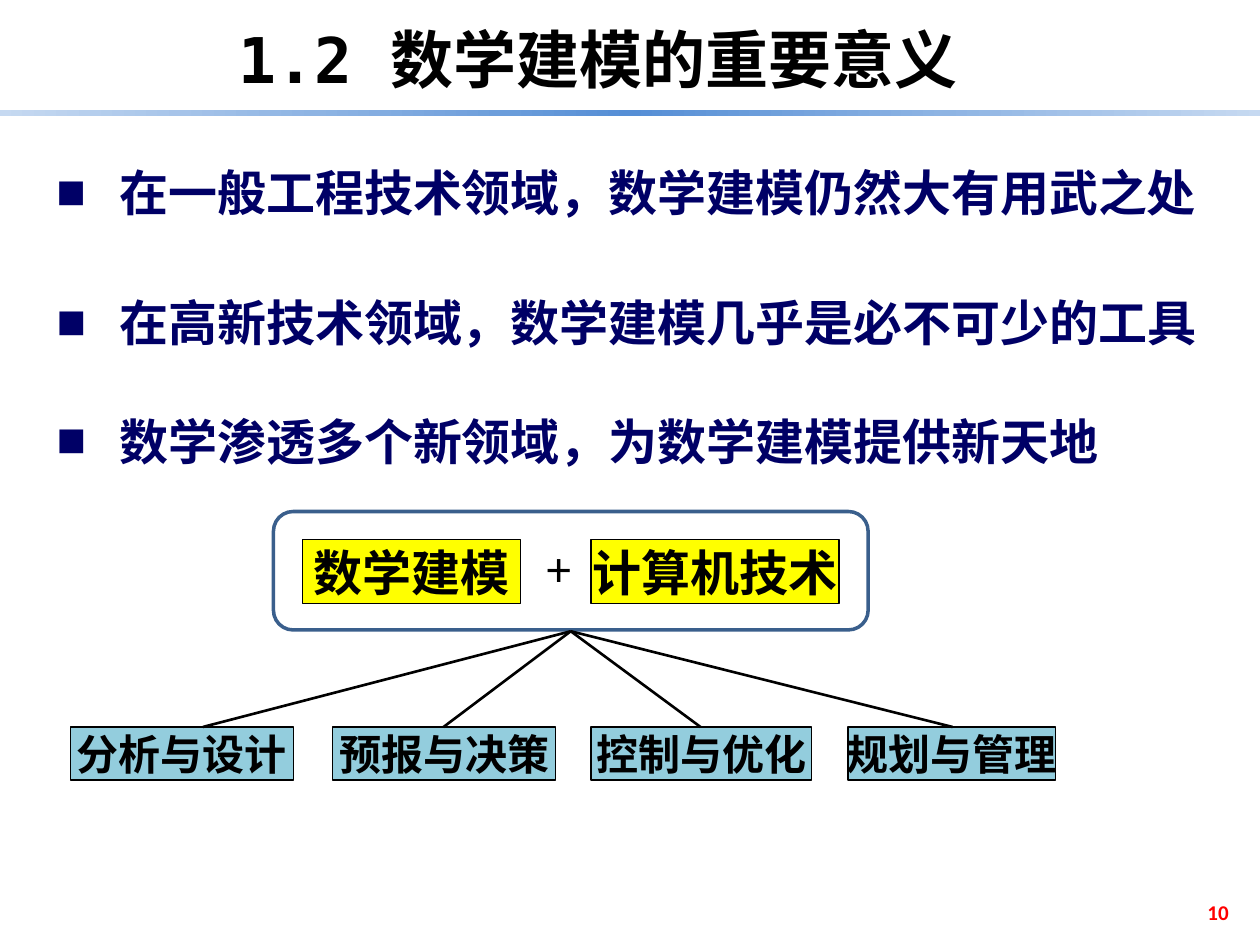
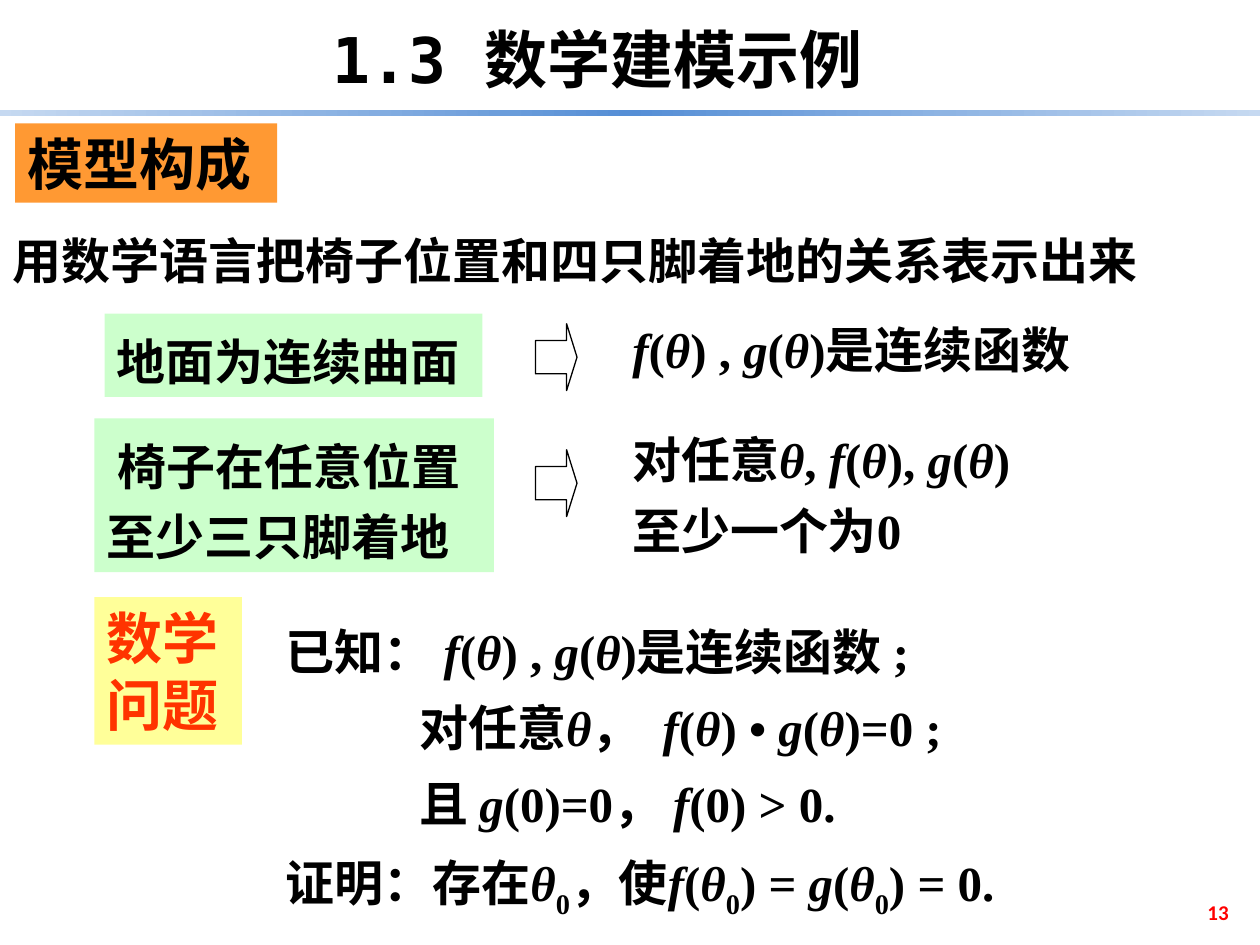
from itertools import groupby

from lxml import etree
from pptx import Presentation
from pptx.dml.color import RGBColor
from pptx.enum import shapes, text
from pptx.oxml import ns
from pptx.util import Inches, Pt

BLACK = RGBColor(0, 0, 0)
RED = RGBColor(0xFF, 0, 0)
NAVY = RGBColor(0, 0, 0x66)
YELLOW = RGBColor(0xFF, 0xFF, 0)
SKY = RGBColor(0x93, 0xCD, 0xDD)
STEEL = RGBColor(0x3A, 0x5F, 0x8C)
ORANGE = RGBColor(0xFF, 0x99, 0x33)
MINT = RGBColor(0xCC, 0xFF, 0xCC)
CREAM = RGBColor(0xFF, 0xFF, 0x99)
FLAME = RGBColor(0xFF, 0x33, 0)
BAND = ["C6D9F1", "8EB4E3", "558ED5", "8EB4E3", "C6D9F1"]

SERIF, MONO, SANS, HAN = "Times New Roman", "DejaVu Sans Mono", "Calibri", "Noto Sans CJK SC"
KIND = shapes.MSO_SHAPE
ALIGN = text.PP_ALIGN
MIDDLE = text.MSO_ANCHOR.MIDDLE


def sub(parent, tag, **attrs):
    return etree.SubElement(parent, ns.qn(tag), **attrs)


def style(run, size, color, font, bold=True):
    face = run.font
    face.size, face.name, face.bold = Pt(size), font, bold
    face.color.rgb = color
    sub(run._r.get_or_add_rPr(), "a:ea", typeface=HAN)


def role(char):
    """Variables are italic; the mark ₀ stands for a lowered zero."""
    return "var" if char in "fgθ" else "low" if char == "₀" else "plain"


def fill_line(para, line, size, color, font, bold=True, maths=False):
    parts = groupby(line, role) if maths else [("plain", line)]
    for kind, chars in parts:
        run = para.add_run()
        run.text = "0" if kind == "low" else "".join(chars)
        style(run, size, color, font, bold)
        if kind == "var":
            run.font.italic = True
        elif kind == "low":
            run.font._element.set("baseline", "-25000")


def write(shape, lines, size=28, color=BLACK, font=SERIF, bold=True, maths=False,
          align=ALIGN.LEFT, anchor=text.MSO_ANCHOR.TOP, gap=None, wrap=True, grow=True):
    frame = shape.text_frame
    frame.word_wrap = wrap
    frame.vertical_anchor = anchor
    if grow:
        frame.auto_size = text.MSO_AUTO_SIZE.SHAPE_TO_FIT_TEXT
    for i, line in enumerate(lines):
        para = frame.add_paragraph() if i else frame.paragraphs[0]
        para.alignment = align
        if gap:
            para.line_spacing = gap
        fill_line(para, line, size, color, font, bold, maths)
    return frame


def box(slide, *spot):
    return slide.shapes.add_textbox(*map(Inches, spot))


def form(slide, kind, spot, fill=None, line=None, width=0.75):
    shape = slide.shapes.add_shape(kind, *map(Inches, spot))
    shape.shadow.inherit = False
    if fill is None:
        shape.fill.background()
    else:
        shape.fill.solid()
        shape.fill.fore_color.rgb = fill
    if line is None:
        shape.line.fill.background()
    else:
        shape.line.color.rgb = line
        shape.line.width = Pt(width)
    return shape


def node(slide, label, spot, fill, size):
    write(form(slide, KIND.RECTANGLE, spot, fill, BLACK), [label], size,
          align=ALIGN.CENTER, anchor=MIDDLE, wrap=False, grow=False)


def link(slide, start, end):
    line = slide.shapes.add_connector(shapes.MSO_CONNECTOR.STRAIGHT, *map(Inches, start + end))
    line.line.color.rgb = BLACK
    line.line.width = Pt(1.5)
    sub(line._element.spPr, "a:effectLst")


def bullet(slide, label, top, width):
    frame = write(box(slide, 0.35, top, width, 0.61), [label], color=NAVY, gap=1.2)
    props = frame.paragraphs[0]._p.get_or_add_pPr()
    props.set("marL", str(Inches(0.5)))
    props.set("indent", str(-Inches(0.5)))
    sub(props, "a:buFont", typeface=SERIF)
    sub(props, "a:buChar", char="■")


def arrow(slide, top):
    shape = form(slide, KIND.RIGHT_ARROW, (4.25, top, 0.33, 0.53), line=BLACK)
    shape.adjustments[0], shape.adjustments[1] = 0.5, 0.25


def band(slide):
    shape = form(slide, KIND.RECTANGLE, (0, 0.87, 10, 0.05))
    shape.fill.gradient()
    shape.fill.gradient_angle = 0
    stops = shape._element.spPr.find(ns.qn("a:gradFill")).find(ns.qn("a:gsLst"))
    for old in list(stops):
        stops.remove(old)
    for i, tint in enumerate(BAND):
        sub(sub(stops, "a:gs", pos=str(i * 25000)), "a:srgbClr", val=tint)


def page(deck, title, number):
    slide = deck.slides.add_slide(deck.slide_layouts[6])
    band(slide)
    write(box(slide, 0.81, 0.11, 7.87, 0.71), [title], 36, font=MONO, align=ALIGN.CENTER)
    write(box(slide, 7.52, 7.04, 2.33, 0.4), [number], 12, RED, SANS,
          align=ALIGN.RIGHT, anchor=MIDDLE, grow=False)
    return slide


def meaning(deck):
    slide = page(deck, "1.2 数学建模的重要意义", "10")
    bullet(slide, "在一般工程技术领域，数学建模仍然大有用武之处", 1.15, 9.5)
    bullet(slide, "在高新技术领域，数学建模几乎是必不可少的工具", 2.18, 9.45)
    bullet(slide, "数学渗透多个新领域，为数学建模提供新天地", 3.12, 8.58)

    node(slide, "数学建模", (2.4, 4.28, 1.73, 0.51), YELLOW, 28)
    node(slide, "计算机技术", (4.69, 4.28, 1.97, 0.51), YELLOW, 28)
    write(box(slide, 4.24, 4.22, 0.4, 0.57), ["+"], font=SANS, bold=False, wrap=False)
    form(slide, KIND.ROUNDED_RECTANGLE, (2.17, 4.06, 4.72, 0.94), line=STEEL, width=2)

    uses = [("分析与设计", 0.56, 1.77, 1.61), ("预报与决策", 2.64, 1.77, 3.52),
            ("控制与优化", 4.69, 1.75, 5.56), ("规划与管理", 6.73, 1.65, 7.56)]
    for label, left, width, tip in uses:
        node(slide, label, (left, 5.77, width, 0.42), SKY, 24)
        link(slide, (4.53, 5.01), (tip, 5.77))


def example(deck):
    slide = page(deck, "1.3 数学建模示例", "13")

    def panel(label, spot, fill, **look):
        write(form(slide, KIND.RECTANGLE, spot, fill), [label], **look)

    panel("模型构成", (0.12, 0.98, 2.08, 0.63), ORANGE, size=32)
    write(box(slide, 0, 1.78, 9.33, 0.57), ["用数学语言把椅子位置和四只脚着地的关系表示出来"])

    panel("地面为连续曲面", (0.83, 2.49, 3, 0.66), MINT, gap=1.2)
    panel(" 椅子在任意位置至少三只脚着地", (0.75, 3.32, 3.17, 1.22), MINT, gap=1.2)
    for top in (2.57, 3.57):
        arrow(slide, top)
    write(box(slide, 4.92, 2.49, 3.75, 0.57), ["f(θ) , g(θ)是连续函数"], maths=True)
    write(box(slide, 4.92, 3.27, 3.5, 1.22), ["对任意θ, f(θ), g(θ)至少一个为0"],
          maths=True, gap=1.2)

    panel("数学问题", (0.75, 4.74, 1.17, 1.17), CREAM, size=32, color=FLAME, font=HAN)
    proof = ["已知： f(θ) , g(θ)是连续函数 ;", "对任意θ，  f(θ) • g(θ)=0 ;",
             "且 g(0)=0， f(0) > 0.", "证明：存在θ₀，使f(θ₀) = g(θ₀) = 0."]
    frame = write(box(slide, 2.17, 4.74, 6.17, 2.53), proof, maths=True, gap=1.3)
    for para in frame.paragraphs[1:3]:
        para._p.get_or_add_pPr().set("marL", str(Inches(1.06)))


def main():
    deck = Presentation()
    deck.slide_width, deck.slide_height = Inches(10), Inches(7.5)
    meaning(deck)
    example(deck)
    deck.save("out.pptx")


if __name__ == "__main__":
    main()
